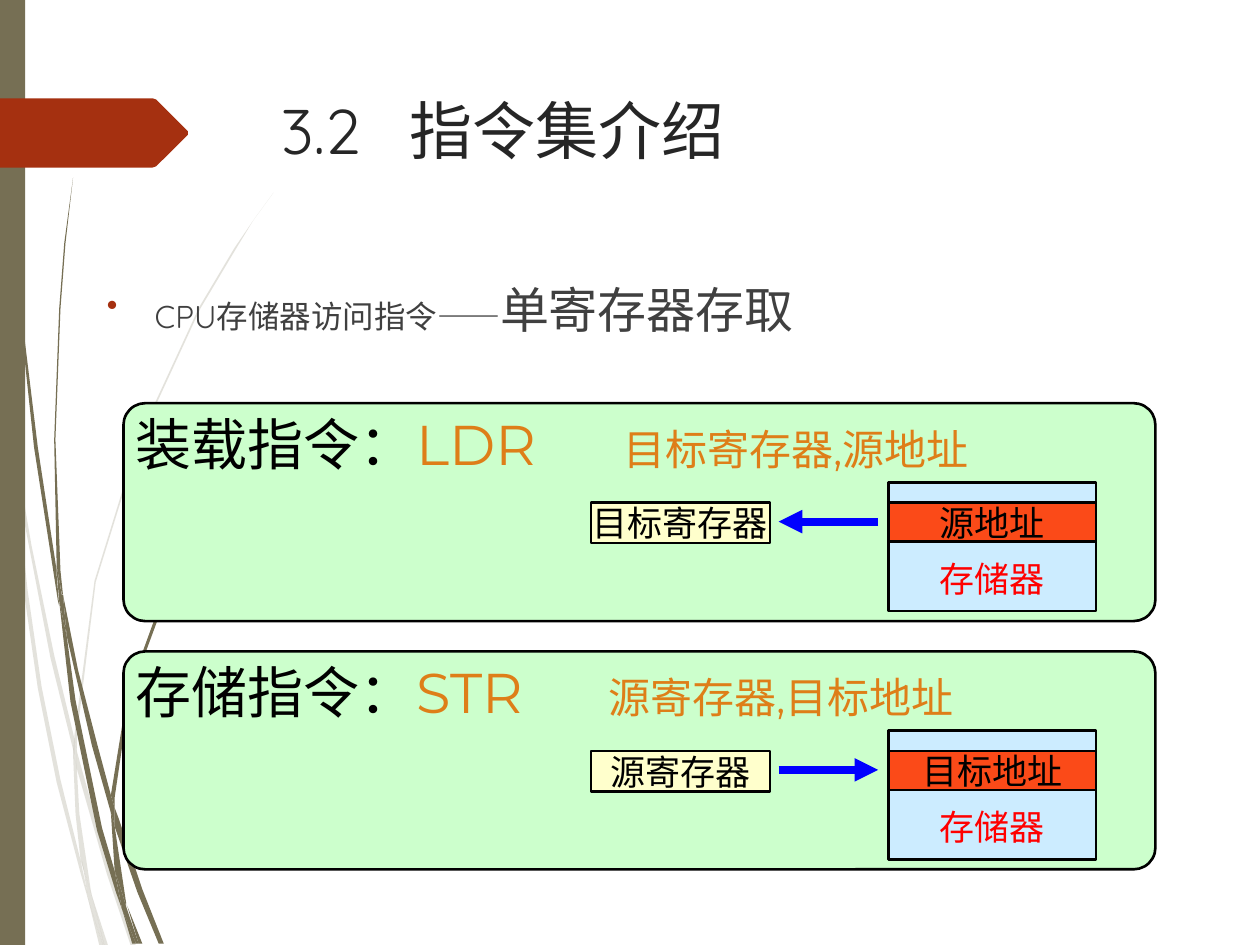
from dataclasses import dataclass
from typing import Optional

from lxml.etree import SubElement
from pptx import Presentation
from pptx.dml.color import RGBColor
from pptx.enum.shapes import MSO_CONNECTOR as Connector, MSO_SHAPE as Preset
from pptx.enum.text import MSO_ANCHOR as Anchor, PP_ALIGN as Align
from pptx.oxml.ns import qn
from pptx.util import Emu, Inches, Pt

COLUMNS, ROWS = 1000, 750
CELL = Inches(10) // COLUMNS
OLIVE, RUST, BLACK, ORANGE = "766F54", "A53010", "000000", "DE7E18"
SERIF, SANS, ROUND = "Times New Roman", "Montserrat", "Quicksand"
PANEL_TOP, PANEL_PITCH = 320, 197


@dataclass(frozen=True)
class Box:
    """Place on the slide grid, in columns and rows."""
    left: float
    top: float
    width: float
    height: float

    def lengths(self) -> list:
        return [grid(value) for value in (self.left, self.top, self.width, self.height)]


@dataclass(frozen=True)
class Span:
    """Text with one look."""
    text: str
    size: float
    color: str
    font: str = SERIF


@dataclass(frozen=True)
class Instruction:
    """One panel: an instruction and the direction its data moves."""
    heading: str
    mnemonic: str
    operands: str
    operand_tab: int
    register: str
    address: str
    arrow: tuple


PALE_WISPS = [
    [(8, 350), (6, 322), (0, 282), (0, 299), (7, 344)],
    [(40, 522), (59, 599), (59, 586), (43, 520), (25, 433), (10, 345), (12, 376)],
    [(64, 607), (61, 596), (61, 610), (85, 694), (104, 751), (108, 751), (88, 692)],
    [(83, 751), (86, 751), (73, 711)],
    [(64, 683), (48, 619), (33, 545), (22, 469), (12, 376), (8, 350), (13, 410),
     (19, 470), (30, 546), (45, 621), (64, 693), (70, 714), (69, 707)],
    [(58, 599), (60, 646), (64, 683), (67, 692), (73, 711), (72, 706), (63, 646),
     (61, 610), (61, 608)],
    [(61, 584), (76, 462), (111, 349), (159, 245), (187, 198), (201, 175), (217, 153),
     (201, 175), (186, 197), (158, 244), (110, 348), (75, 461), (59, 584), (59, 586),
     (61, 596)],
    [(70, 714), (79, 751), (82, 751)],
    [(61, 608), (61, 610), (61, 596), (59, 586), (58, 599)],
    [(67, 692), (65, 683), (69, 707), (70, 714), (82, 751), (83, 751), (73, 711)],
]
DARK_WISPS = [
    [(5, 110), (14, 233), (27, 355), (46, 477), (47, 481), (45, 457), (45, 453),
     (30, 355), (15, 232), (6, 109), (4, 48), (3, 0), (2, 0), (3, 48)],
    [(73, 592), (88, 645), (88, 633), (88, 631), (77, 590), (62, 532), (50, 472), (53, 505)],
    [(94, 649), (91, 641), (91, 656), (109, 708), (126, 749), (130, 749), (113, 706)],
    [(91, 691), (81, 657), (60, 556), (53, 505), (47, 477), (56, 557), (77, 659),
     (92, 708), (97, 722), (96, 717)],
    [(50, 472), (48, 453), (44, 349), (48, 245), (52, 193), (58, 141), (51, 193),
     (47, 245), (43, 349), (45, 449), (49, 471)],
    [(110, 749), (113, 749), (101, 719)],
    [(47, 477), (53, 505), (50, 472), (49, 472), (45, 449), (45, 453)],
    [(91, 633), (103, 552), (131, 476), (169, 406), (191, 374), (203, 359), (216, 344),
     (215, 344), (203, 358), (191, 373), (168, 405), (129, 474), (101, 551), (88, 631),
     (91, 641)],
    [(97, 722), (105, 749), (108, 749)],
    [(88, 645), (91, 691), (96, 706), (100, 719), (100, 716), (91, 656), (90, 651)],
    [(88, 645), (90, 651), (91, 656), (91, 641), (88, 631), (88, 633)],
    [(96, 706), (91, 691), (96, 717), (97, 722), (108, 749), (110, 749), (100, 719)],
]
TITLE_TAG = [(149, 107), (124, 132), (121, 133), (0, 133), (0, 78), (121, 78),
             (124, 79), (149, 104)]
INSTRUCTIONS = [
    Instruction("装载指令：", "LDR", "目标寄存器,源地址", 387, "目标寄存器", "源地址", (697, 618)),
    Instruction("存储指令：", "STR", "源寄存器,目标地址", 375, "源寄存器", "目标地址", (618, 697)),
]


def grid(cells: float) -> Emu:
    """Turn grid cells into a length."""
    return Emu(round(cells * CELL))


def paint(target, color: str) -> None:
    """Give a fill a solid colour."""
    target.solid()
    target.fore_color.rgb = RGBColor.from_string(color)


def apply(target, formats: dict) -> None:
    """Set each named attribute."""
    for name, value in formats.items():
        setattr(target, name, value)


def write(paragraph, spans: list) -> None:
    """Add runs to a paragraph."""
    for span in spans:
        run = paragraph.add_run()
        run.text = span.text
        apply(run.font, {"size": Pt(span.size), "name": span.font})
        paint(run.font.fill, span.color)


def add_text(slide, box: Box, spans: list, tab: Optional[int] = None, bullet: bool = False) -> None:
    """Add a one-paragraph text box with an optional bullet and tab stop."""
    frame = slide.shapes.add_textbox(*box.lengths()).text_frame
    frame.word_wrap = True
    paragraph = frame.paragraphs[0]
    properties = paragraph._p.get_or_add_pPr()
    if bullet:
        properties.set("marL", str(grid(38)))
        properties.set("indent", str(grid(-38)))
        color = SubElement(properties, qn("a:buClr"))
        SubElement(color, qn("a:srgbClr"), val=RUST)
        SubElement(properties, qn("a:buChar"), char="•")
    if tab:
        stops = SubElement(properties, qn("a:tabLst"))
        SubElement(stops, qn("a:tab"), pos=str(grid(tab)), algn="l")
    write(paragraph, spans)


def add_box(slide, preset, box: Box, color: str, span: Optional[Span] = None,
            anchor=Anchor.MIDDLE, outlined: bool = True, bottom_margin: float = 5):
    """Add a filled preset shape with an optional centred label."""
    shape = slide.shapes.add_shape(preset, *box.lengths())
    shape.shadow.inherit = False
    paint(shape.fill, color)
    if outlined:
        paint(shape.line.fill, BLACK)
        shape.line.width = Pt(1.5)
    else:
        shape.line.fill.background()
    if span:
        apply(shape.text_frame, {"word_wrap": False, "vertical_anchor": anchor,
                                 "margin_bottom": grid(bottom_margin)})
        paragraph = shape.text_frame.paragraphs[0]
        paragraph.alignment = Align.CENTER
        write(paragraph, [span])
    return shape


def add_outline(slide, points: list, color: str, opacity: int = 100) -> None:
    """Add a closed filled outline through grid points."""
    builder = slide.shapes.build_freeform(*points[0], scale=float(CELL))
    builder.add_line_segments(points[1:], close=True)
    shape = builder.convert_to_shape()
    shape.shadow.inherit = False
    paint(shape.fill, color)
    shape.line.fill.background()
    if opacity < 100:
        fill = shape._element.spPr.find(qn("a:solidFill"))
        SubElement(fill[0], qn("a:alpha"), val=str(opacity * 1000))


def add_arrow(slide, start: float, end: float, row: float) -> None:
    """Add a horizontal arrow pointing at its end."""
    arrow = slide.shapes.add_connector(
        Connector.STRAIGHT, grid(start), grid(row), grid(end), grid(row))
    paint(arrow.line.fill, "0000FF")
    arrow.line.width = Pt(4.5)
    SubElement(arrow.line._get_or_add_ln(), qn("a:tailEnd"), type="triangle")
    SubElement(arrow._element.spPr, qn("a:effectLst"))


def add_instruction(slide, item: Instruction, top: float) -> None:
    """Draw one instruction panel with its register, arrow and memory."""
    panel = add_box(slide, Preset.ROUNDED_RECTANGLE, Box(98, top, 819, 173), "CCFFCC")
    panel.adjustments[0] = 0.1
    add_text(slide, Box(98, top, 780, 64), [
        Span(item.heading, 32, BLACK),
        Span(item.mnemonic + "\t", 32, ORANGE, SANS),
        Span(item.operands, 24, ORANGE, SANS)], item.operand_tab)
    add_box(slide, Preset.RECTANGLE, Box(705, top + 63, 165, 102), "CCECFF",
            Span("存储器", 20, "FF0000"), Anchor.BOTTOM, bottom_margin=9)
    add_box(slide, Preset.RECTANGLE, Box(705, top + 79, 165, 31), "FB4A18",
            Span(item.address, 20, BLACK))
    add_box(slide, Preset.RECTANGLE, Box(469, top + 79, 142, 32), "FFFFCC",
            Span(item.register, 20, BLACK))
    add_arrow(slide, *item.arrow, top + 94)


def main() -> None:
    """Build and save the slide."""
    presentation = Presentation()
    apply(presentation, {"slide_width": grid(COLUMNS), "slide_height": grid(ROWS)})
    slide = presentation.slides.add_slide(presentation.slide_layouts[6])
    for wisps, opacity in ((PALE_WISPS, 20), (DARK_WISPS, 100)):
        for points in wisps:
            add_outline(slide, points, OLIVE, opacity)
    add_box(slide, Preset.RECTANGLE, Box(0, 0, 20, ROWS), OLIVE, outlined=False)
    add_outline(slide, TITLE_TAG, RUST)
    add_text(slide, Box(213, 68, 721, 140), [Span("3.2\t指令集介绍", 36, "262626", ROUND)], 102)
    add_text(slide, Box(75, 217, 850, 75), [
        Span("CPU存储器访问指令——", 18, "404040", ROUND),
        Span("单寄存器存取", 28, "404040", ROUND)], bullet=True)
    for index, item in enumerate(INSTRUCTIONS):
        add_instruction(slide, item, PANEL_TOP + index * PANEL_PITCH)
    presentation.save("out.pptx")


if __name__ == "__main__":
    main()
